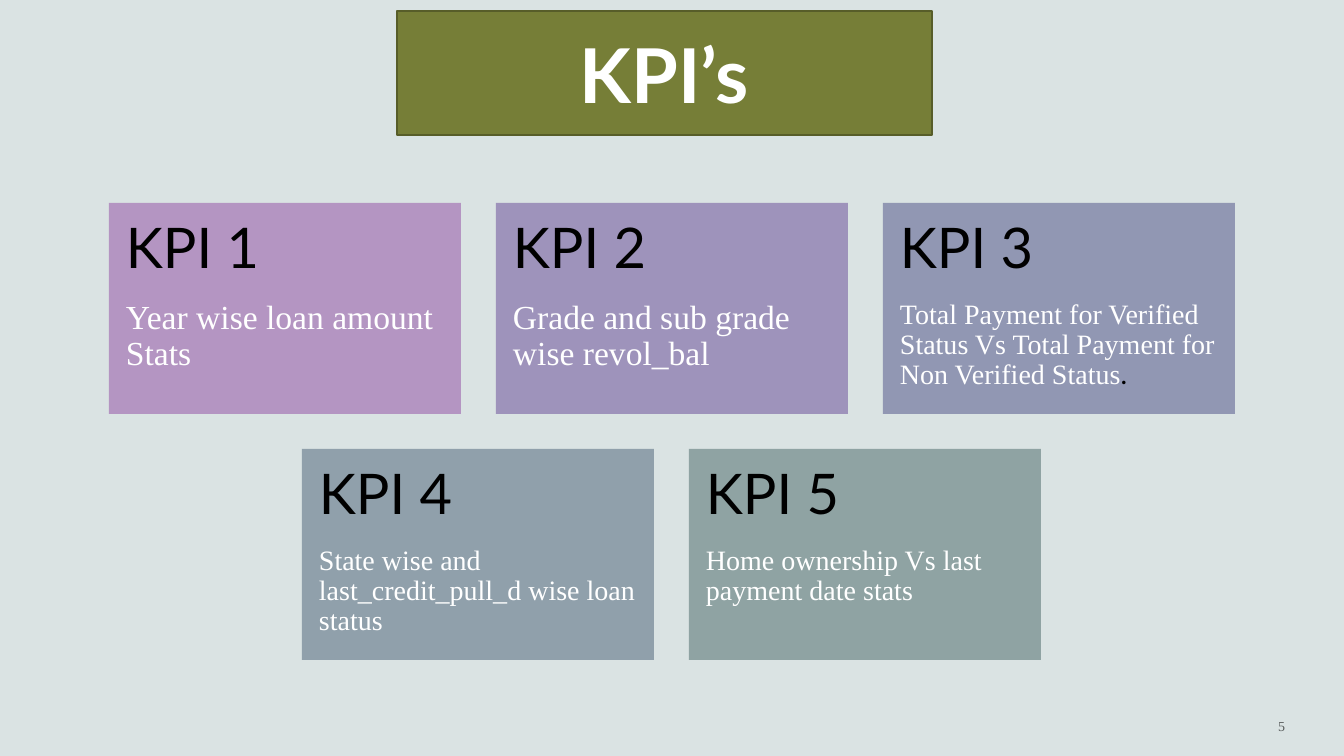
import pptx
import pptx.util
import pptx.dml.color
import pptx.enum.shapes
import pptx.enum.text
from lxml import etree

ALIGN = pptx.enum.text.PP_ALIGN
ANCHOR = pptx.enum.text.MSO_ANCHOR
EMU_PER_PX = 914400 / 100.8
SLIDE_W, SLIDE_H = 1344, 756
HEAD_FONT, BODY_FONT = "Lato", "Times New Roman"

COLORS = {
    "background": "DAE3E3", "olive": "767E37", "olive_edge": "575D29",
    "black": "000000", "white": "FFFFFF",
    "orchid": "B495C2", "violet": "9E93BB", "periwinkle": "9197B3",
    "slate": "90A0AB", "sage": "8FA3A3",
}


def px(length):
    return pptx.util.Emu(round(length * EMU_PER_PX))


def rgb(name):
    return pptx.dml.color.RGBColor.from_string(COLORS[name])


def add_span(para, text, size, font=BODY_FONT, color="white", bold=False,
             opacity=None, tracking=None):
    span = para.add_run()
    span.text = text
    span.font.size = pptx.util.Pt(size)
    span.font.name = font
    span.font.bold = bold
    span.font.color.rgb = rgb(color)
    properties = span.font._element
    if tracking is not None:
        properties.set("spc", str(tracking * 100))
    if opacity is not None:
        fill_color = properties.find(".//" + pptx.oxml.ns.qn("a:srgbClr"))
        alpha = etree.SubElement(fill_color, pptx.oxml.ns.qn("a:alpha"))
        alpha.set("val", str(opacity * 1000))
    return span


class KpiSlide:
    """Holds the slide and draws its kinds of element in one style."""

    card_w, card_h, gap, inset = 352, 211, 35, 17

    def __init__(self, deck):
        self.page = deck.slides.add_slide(deck.slide_layouts[5])
        fill = self.page.background.fill
        fill.solid()
        fill.fore_color.rgb = rgb("background")

    def title(self, text, left, top, width, height):
        box = self.page.shapes.title
        box.left, box.top, box.width, box.height = map(px, (left, top, width, height))
        box.fill.solid()
        box.fill.fore_color.rgb = rgb("olive")
        box.line.color.rgb = rgb("olive_edge")
        box.line.width = pptx.util.Pt(0.85)
        frame = box.text_frame
        frame.auto_size = pptx.enum.text.MSO_AUTO_SIZE.NONE
        frame.vertical_anchor = ANCHOR.MIDDLE
        para = frame.paragraphs[0]
        para.alignment = ALIGN.CENTER
        add_span(para, text, 54, font=HEAD_FONT, bold=True)

    def card(self, left, top, color, heading, spans, size):
        box = self.page.shapes.add_shape(
            pptx.enum.shapes.MSO_SHAPE.RECTANGLE,
            *map(px, (left, top, self.card_w, self.card_h)))
        box.shadow.inherit = False
        box.fill.solid()
        box.fill.fore_color.rgb = rgb(color)
        box.line.fill.background()
        frame = box.text_frame
        frame.word_wrap = True
        frame.vertical_anchor = ANCHOR.TOP
        frame.margin_left = frame.margin_right = px(self.inset)
        frame.margin_top = frame.margin_bottom = px(self.inset)
        head, body = frame.paragraphs[0], frame.add_paragraph()
        for para in (head, body):
            para.alignment = ALIGN.LEFT
            para.line_spacing = 0.9
        head.space_after = pptx.util.Pt(14)
        add_span(head, heading, 40, font=HEAD_FONT, color="black")
        for text, style in spans:
            add_span(body, text, size, **style)

    def card_row(self, top, cards, first_number):
        pitch = self.card_w + self.gap
        left = (SLIDE_W - len(cards) * pitch + self.gap) // 2
        for index, (color, size, spans) in enumerate(cards):
            self.card(left + index * pitch, top, color,
                      f"KPI {first_number + index}", spans, size)

    def page_number(self, text, left, top, width, height):
        box = self.page.shapes.add_textbox(*map(px, (left, top, width, height)))
        frame = box.text_frame
        frame.word_wrap = True
        frame.vertical_anchor = ANCHOR.MIDDLE
        para = frame.paragraphs[0]
        para.alignment = ALIGN.RIGHT
        add_span(para, text, 10, color="black", opacity=60, tracking=2)


CARD_ROWS = [
    [("orchid", 24, [("Year wise loan amount Stats", {})]),
     ("violet", 24, [("Grade and sub grade wise revol_bal", {})]),
     ("periwinkle", 20, [
         ("Total Payment for Verified Status Vs Total Payment for "
          "Non Verified Status", {}),
         (".", {"font": HEAD_FONT, "color": "black"})])],
    [("slate", 20, [("State wise and last_credit_pull_d wise loan status", {})]),
     ("sage", 20, [("Home ownership Vs last payment date stats", {})])],
]


def main():
    deck = pptx.Presentation()
    deck.slide_width, deck.slide_height = px(SLIDE_W), px(SLIDE_H)
    slide = KpiSlide(deck)

    # Title banner
    slide.title("KPI’s", 397, 11, 535, 124)

    # KPI cards, each row centred on the slide
    top, number = 203, 1
    for cards in CARD_ROWS:
        slide.card_row(top, cards, number)
        top += slide.card_h + slide.gap
        number += len(cards)

    # Page number
    slide.page_number("5", 1101, 701, 194, 50)

    deck.save("out.pptx")


if __name__ == "__main__":
    main()
